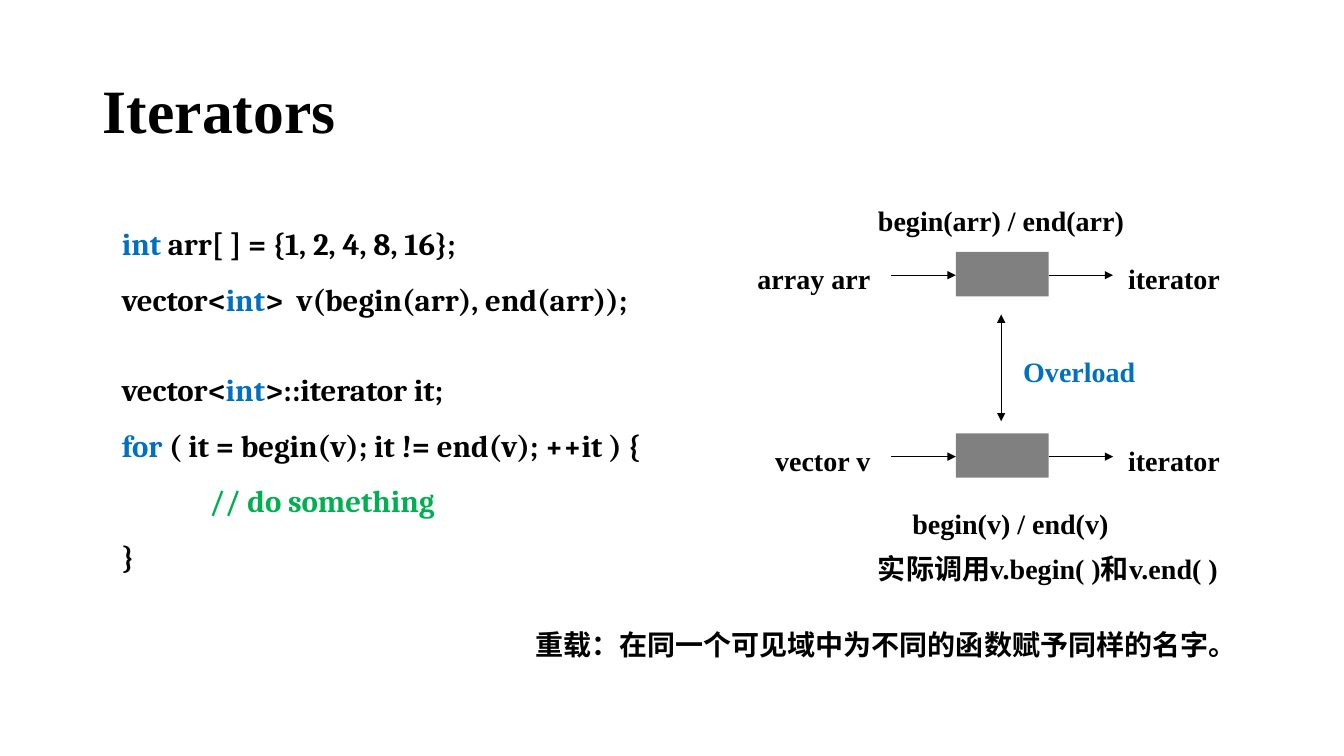
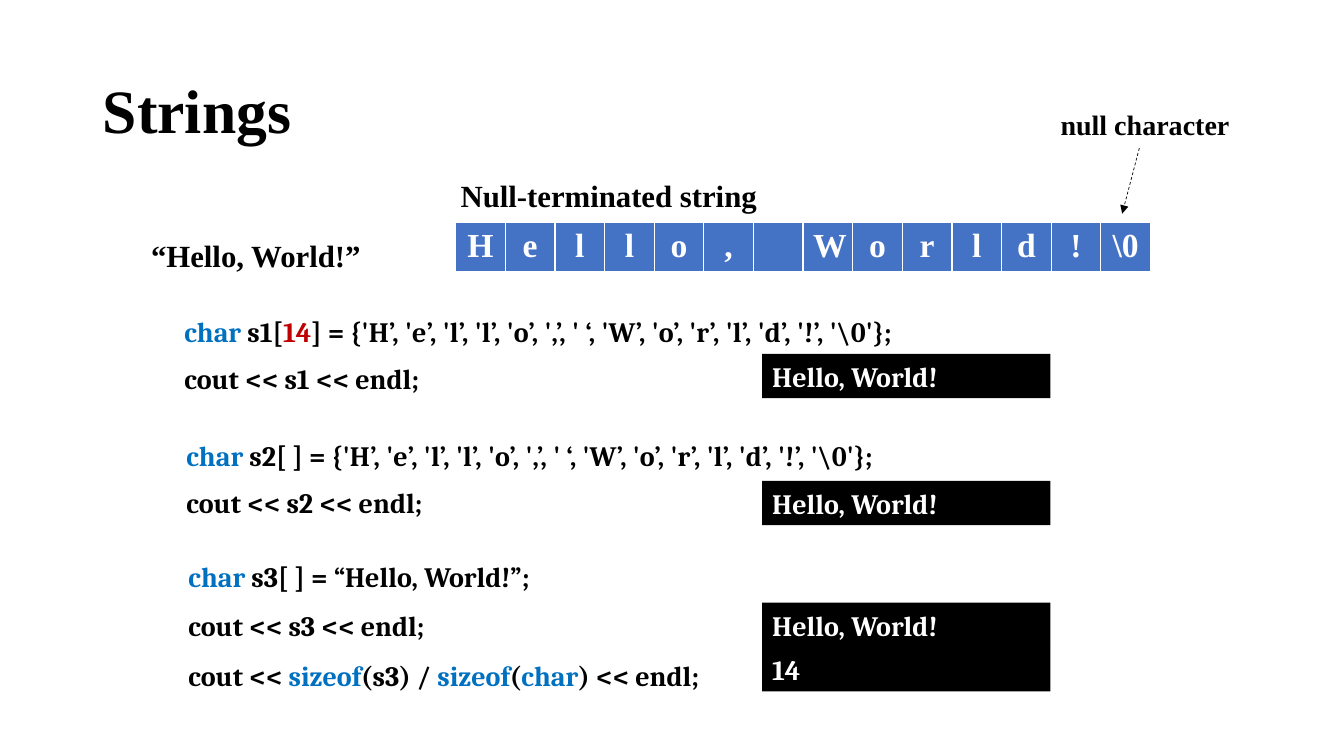
from dataclasses import dataclass

from lxml import etree
from pptx import Presentation
from pptx import util as u
from pptx.dml.color import RGBColor
from pptx.enum import dml, shapes, text
from pptx.oxml.ns import qn

Inches = u.Inches
ALIGN = text.PP_ALIGN


@dataclass(frozen=True)
class Theme:
    ink: str = "000000"
    paper: str = "FFFFFF"
    keyword: str = "0070C0"
    comment: str = "00B050"
    number: str = "C00000"
    block: str = "808080"
    cell: str = "4472C4"
    prose: str = "Times New Roman"
    code: str = "Cambria"
    title_size: int = 44
    cell_size: int = 24
    large_size: int = 22
    body_size: int = 20
    line_width: float = 0.5


THEME = Theme()


def rgb(value):
    return RGBColor.from_string(value)


def keyword(word):
    return word, THEME.keyword


def write(frame, paragraphs, size=THEME.body_size, font=THEME.prose,
          color=THEME.ink, align=ALIGN.JUSTIFY, spacing=None):
    """Fill a frame; a paragraph is a list of strings or (string, colour)."""
    for index, runs in enumerate(paragraphs):
        paragraph = frame.paragraphs[0] if index == 0 else frame.add_paragraph()
        paragraph.alignment = align
        if spacing:
            paragraph.line_spacing = spacing
        for item in runs:
            words, run_color = (item, color) if isinstance(item, str) else item
            run = paragraph.add_run()
            run.text = words
            run.font.name = font
            run.font.size = u.Pt(size)
            run.font.bold = True
            run.font.color.rgb = rgb(run_color)


def add_text(slide, box, paragraphs, **style):
    frame = slide.shapes.add_textbox(*map(Inches, box)).text_frame
    frame.word_wrap = True
    frame.auto_size = text.MSO_AUTO_SIZE.SHAPE_TO_FIT_TEXT
    write(frame, paragraphs, **style)


def add_label(slide, box, words, **style):
    add_text(slide, box, [[words]], **{"spacing": 1.5, **style})


def add_block(slide, box, fill):
    block = slide.shapes.add_shape(shapes.MSO_SHAPE.RECTANGLE, *map(Inches, box))
    block.shadow.inherit = False
    block.fill.solid()
    block.fill.fore_color.rgb = rgb(fill)
    block.line.fill.background()
    return block


def add_arrow(slide, start, end, both_ends=False, dashed=False):
    arrow = slide.shapes.add_connector(
        shapes.MSO_CONNECTOR.STRAIGHT, *map(Inches, (*start, *end)))
    arrow.line.color.rgb = rgb(THEME.ink)
    arrow.line.width = u.Pt(THEME.line_width)
    if dashed:
        arrow.line.dash_style = dml.MSO_LINE.DASH
    properties = arrow.element.spPr
    line = properties.find(qn("a:ln"))
    for tag in ("a:headEnd", "a:tailEnd") if both_ends else ("a:tailEnd",):
        etree.SubElement(line, qn(tag), type="triangle")
    etree.SubElement(properties, qn("a:effectLst"))


def add_titled_slide(deck, words):
    slide = deck.slides.add_slide(deck.slide_layouts[5])
    title = slide.shapes.title
    title.left, title.top, title.width, title.height = map(
        Inches, (0.92, 0.4, 11.5, 1.45))
    title.text_frame.auto_size = text.MSO_AUTO_SIZE.NONE
    title.text_frame.vertical_anchor = text.MSO_ANCHOR.MIDDLE
    write(title.text_frame, [[words]], size=THEME.title_size,
          align=ALIGN.LEFT, spacing=0.9)
    return slide


# Iterators
def add_iterator_code(slide, left, top):
    style = dict(size=THEME.large_size, font=THEME.code, spacing=1.5)
    add_text(slide, (left, top, 5.45, 1.14), [
        [keyword("int "), "arr[ ] = {1, 2, 4, 8, 16};"],
        ["vector<", keyword("int"), ">  v(begin(arr), end(arr));"],
    ], **style)
    add_text(slide, (left, top + 1.45, 5.66, 2.25), [
        ["vector<", keyword("int"), ">::iterator it;"],
        [keyword("for"), " ( it = begin(v); it != end(v); ++it ) {"],
        [("             // do something", THEME.comment)],
        ["}"],
    ], **style)


def add_call(slide, left, top, source):
    """Draw source -> function block -> iterator."""
    width, height, reach = 0.92, 0.44, 0.64
    middle, right = top + 0.23, left + width
    label_top = top - 0.12
    add_block(slide, (left, top, width, height), THEME.block)
    add_arrow(slide, (left - reach, middle), (left, middle))
    add_arrow(slide, (right, middle), (right + reach, middle))
    add_label(slide, (left - 2.34, label_top, 1.59, 0.54), source,
              align=ALIGN.RIGHT)
    add_label(slide, (right + 0.69, label_top, 1.31, 0.54), "iterator")


def add_overload_diagram(slide, left, top):
    add_label(slide, (left - 0.87, top - 0.7, 2.66, 0.54), "begin(arr) / end(arr)")
    for row, source in enumerate(("array arr", "vector v")):
        add_call(slide, left, top + 1.8 * row, source)
    center = left + 0.45
    add_arrow(slide, (center, top + 0.62), (center, top + 1.68), both_ends=True)
    add_label(slide, (center + 0.12, top + 0.8, 1.59, 0.54), "Overload",
              color=THEME.keyword)
    add_label(slide, (left - 0.53, top + 2.31, 2.2, 0.54), "begin(v) / end(v)")
    add_label(slide, (left - 0.87, top + 2.76, 3.86, 0.54),
              "实际调用v.begin( )和v.end( )")


def build_iterators(deck):
    slide = add_titled_slide(deck, "Iterators")
    add_iterator_code(slide, 1.11, 2)
    add_overload_diagram(slide, 9.48, 2.5)
    add_label(slide, (5.21, 6.01, 7.25, 0.54),
              "重载：在同一个可见域中为不同的函数赋予同样的名字。")


# Strings
def set_cell_borders(cell):
    properties = cell._tc.get_or_add_tcPr()
    for side, points in (("L", 1), ("R", 1), ("T", 1), ("B", 3)):
        line = etree.SubElement(properties, qn(f"a:ln{side}"), w=str(u.Pt(points)))
        fill = etree.SubElement(line, qn("a:solidFill"))
        etree.SubElement(fill, qn("a:srgbClr"), val=THEME.paper)


def add_character_table(slide, left, top):
    characters = [*"Hello, World!", "\\0"]
    width = 6.89
    table = slide.shapes.add_table(
        1, len(characters), *map(Inches, (left, top, width, 0.48))).table
    for column, character in enumerate(characters):
        table.columns[column].width = Inches(width / len(characters))
        cell = table.cell(0, column)
        set_cell_borders(cell)
        cell.fill.solid()
        cell.fill.fore_color.rgb = rgb(THEME.cell)
        if character.strip():
            write(cell.text_frame, [[character]], size=THEME.cell_size,
                  color=THEME.paper, align=ALIGN.CENTER)


def add_memory_layout(slide, left, top):
    """Place the character table with its heading and the terminator note."""
    add_label(slide, (left - 0.05, top - 0.69, 3.46, 0.59),
              "Null-terminated string", size=THEME.large_size)
    add_character_table(slide, left, top)
    add_label(slide, (left + 5.9, top - 1.36, 2.01, 0.54), "null character")
    add_arrow(slide, (left + 6.78, top - 0.74), (left + 6.61, top - 0.09),
              dashed=True)


def add_example(slide, left, top, pitch, statements, console_top, outputs):
    """Place lines of code and, to their right, what they print."""
    style = dict(font=THEME.code, align=ALIGN.LEFT)
    height = 0.44
    for row, statement in enumerate(statements):
        add_text(slide, (left, top + pitch * row, 8.08, height), [statement], **style)
    for row, output in enumerate(outputs):
        line = add_block(slide, (7.56, console_top + height * row, 2.86, height),
                         THEME.ink)
        write(line.text_frame, [[output]], color=THEME.paper, **style)


def build_strings(deck):
    slide = add_titled_slide(deck, "Strings")
    add_memory_layout(slide, 4.52, 2.21)
    add_label(slide, (1.4, 2.12, 2.54, 0.59), "“Hello, World!”",
              size=THEME.large_size)
    char, sizeof = keyword("char"), keyword("sizeof")
    letters = ("] = {'H’, 'e’, 'l’, 'l’, 'o’, ',’, ' ‘, "
               "'W’, 'o’, 'r’, 'l’, 'd’, '!’, '\\0'};")
    greeting = "Hello, World!"
    add_example(slide, 1.73, 3.07, 0.47, [
        [char, " s1[", ("14", THEME.number), letters],
        ["cout << s1 << endl;"],
    ], 3.51, [greeting])
    add_example(slide, 1.75, 4.3, 0.47, [
        [char, " s2[ " + letters],
        ["cout << s2 << endl;"],
    ], 4.77, [greeting])
    add_example(slide, 1.77, 5.5, 0.49, [
        [char, " s3[ ] = “Hello, World!”;"],
        ["cout << s3 << endl;"],
        ["cout << ", sizeof, "(s3) / ", sizeof, "(", char, ") << endl;"],
    ], 5.98, [greeting, "14"])


def main():
    deck = Presentation()
    deck.slide_width, deck.slide_height = Inches(13.33), Inches(7.5)
    build_iterators(deck)
    build_strings(deck)
    deck.save("out.pptx")


if __name__ == "__main__":
    main()
